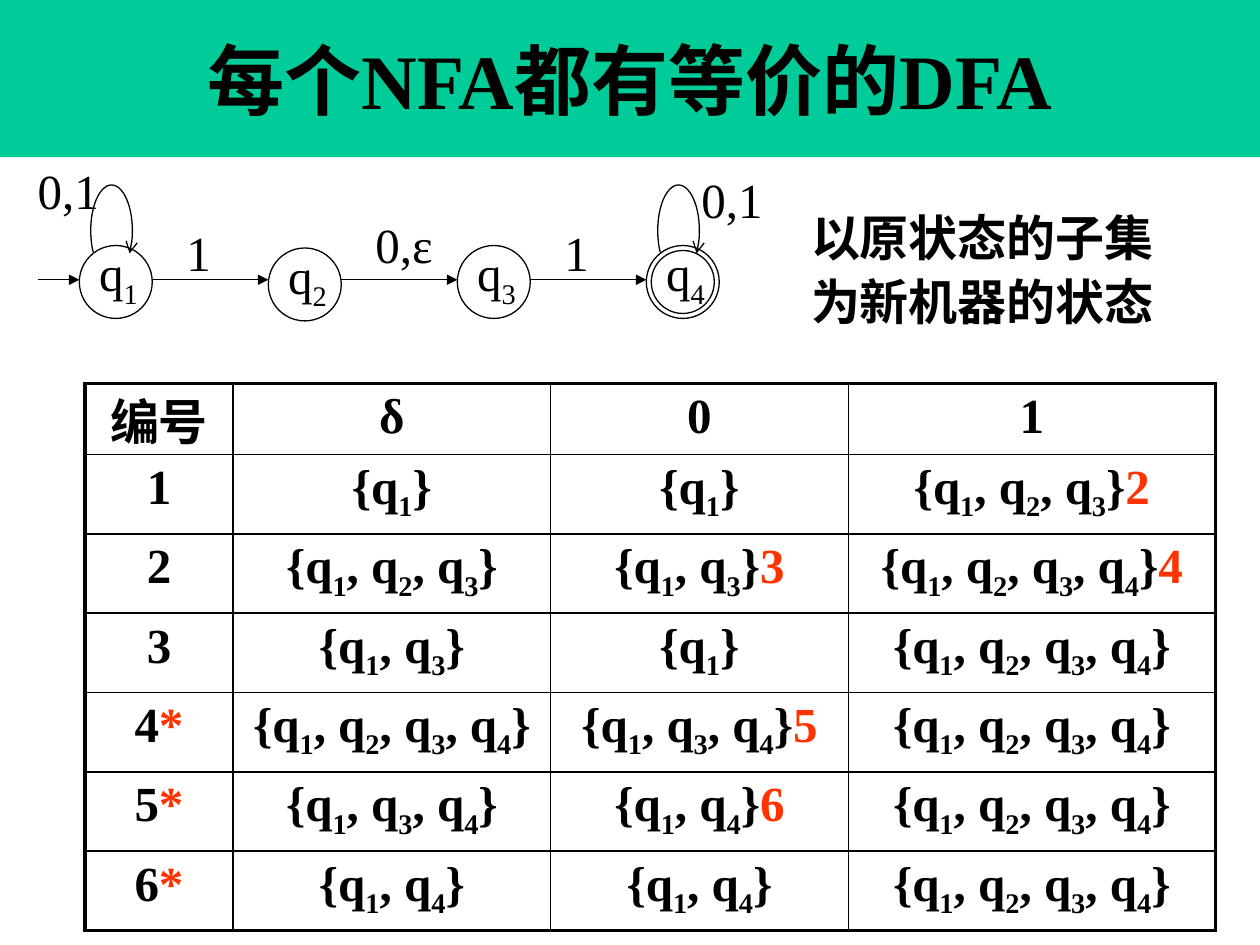
"""Build the slide on turning an NFA into an equivalent DFA."""
from math import cos, radians, sin

from lxml.etree import SubElement
from pptx import Presentation
from pptx.dml.color import RGBColor
from pptx.enum.shapes import MSO_CONNECTOR as LINE, MSO_SHAPE as SHAPE
from pptx.enum.text import MSO_ANCHOR as ANCHOR, MSO_AUTO_SIZE as FIT, PP_ALIGN as ALIGN
from pptx.oxml.ns import qn
from pptx.util import Cm, Pt

TITLE = "每个NFA都有等价的DFA"
NOTE = ["以原状态的子集", "为新机器的状态"]
HEADER = ["编号", "δ", "0", "1"]
ROWS = [
    ("1", "{q1}", "{q1}", "{q1, q2, q3}|2"),
    ("2", "{q1, q2, q3}", "{q1, q3}|3", "{q1, q2, q3, q4}|4"),
    ("3", "{q1, q3}", "{q1}", "{q1, q2, q3, q4}"),
    ("4|*", "{q1, q2, q3, q4}", "{q1, q3, q4}|5", "{q1, q2, q3, q4}"),
    ("5|*", "{q1, q3, q4}", "{q1, q4}|6", "{q1, q2, q3, q4}"),
    ("6|*", "{q1, q4}", "{q1, q4}", "{q1, q2, q3, q4}"),
]
STATES = [("q1", 4.95), ("q2", 5.0), ("q3", 4.95), ("q4", 4.95)]
LABELS = [("0,1", 0.51, 3.12, 1.75), ("1", 3.51, 4.37, 1.02), ("0,ε", 7.32, 4.19, 1.68),
          ("1", 11.13, 4.37, 1.02), ("0,1", 13.89, 3.3, 1.75)]
COLUMNS = [2.99, 6.4, 6.0, 7.4]
HEADER_HEIGHT, ROW_HEIGHT = 1.43, 1.6
FIRST_STATE, STATE_STEP, DIAMETER = 1.6, 3.81, 1.47
ARROW_Y = 5.64
FONT, BLACK, RED, GREEN = "Times New Roman", "000000", "FF3300", "00CC99"


def rgb(code):
    """Turn a hex string into a colour."""
    return RGBColor.from_string(code)


def style(paragraph, size=28, bold=False):
    """Set the common font of a paragraph."""
    font = paragraph.font
    font.name, font.size, font.bold = FONT, Pt(size), bold
    font.color.rgb = rgb(BLACK)


def write(paragraph, text, bold=False):
    """Write text with lowered state numbers and a red part after the bar."""
    style(paragraph, bold=bold)
    main, _, mark = text.partition("|")
    for index, part in enumerate(main.split("q")):
        if index == 0:
            pieces = [(part, False)]
        else:
            lead = paragraph.runs[-1] if paragraph.runs else paragraph.add_run()
            lead.text += "q"
            pieces = [(part[0], True), (part[1:], False)]
        for piece, lowered in pieces:
            if piece:
                run = paragraph.add_run()
                run.text = piece
                if lowered:
                    run._r.get_or_add_rPr().set("baseline", "-25000")
    if mark:
        run = paragraph.add_run()
        run.text = mark
        run.font.color.rgb = rgb(RED)


def add_text(text, left, top, width):
    """Add a one-line diagram label."""
    frame = slide.shapes.add_textbox(Cm(left), Cm(top), Cm(width), Cm(1.45)).text_frame
    frame.word_wrap = False
    frame.auto_size = FIT.SHAPE_TO_FIT_TEXT
    write(frame.paragraphs[0], text)


def outline(shape, head=None):
    """Give a shape a thin black line, with an arrowhead if named."""
    shape.line.color.rgb = rgb(BLACK)
    shape.line.width = Pt(0.75)
    if head:
        SubElement(shape.line._get_or_add_ln(), qn("a:tailEnd"), type=head)


def add_circle(left, top, diameter):
    """Add an unfilled circle."""
    circle = slide.shapes.add_shape(SHAPE.OVAL, Cm(left), Cm(top), Cm(diameter), Cm(diameter))
    circle.shadow.inherit = False
    circle.fill.background()
    outline(circle)


def add_arrow(start, end):
    """Add a level arrow between two states."""
    arrow = slide.shapes.add_connector(LINE.STRAIGHT, Cm(start), Cm(ARROW_Y), Cm(end), Cm(ARROW_Y))
    outline(arrow, "triangle")
    SubElement(arrow._element.spPr, qn("a:effectLst"))


def add_loop(state_left):
    """Add the loop arrow above a state."""
    points = [(Cm(state_left + 0.65 + 0.42 * cos(radians(angle))),
               Cm(4.65 + 0.92 * sin(radians(angle)))) for angle in range(152, 391, 7)]
    builder = slide.shapes.build_freeform(*points[0], scale=1.0)
    builder.add_line_segments(points[1:], close=False)
    loop = builder.convert_to_shape()
    loop.shadow.inherit = False
    loop.fill.background()
    outline(loop, "arrow")


def set_borders(cell, widths):
    """Draw the four borders of a cell."""
    properties = cell._tc.get_or_add_tcPr()
    for index, (side, width) in enumerate(zip(("lnL", "lnR", "lnT", "lnB"), widths)):
        border = properties.makeelement(qn("a:" + side), {"w": str(Pt(width))})
        fill = SubElement(border, qn("a:solidFill"))
        SubElement(fill, qn("a:srgbClr"), val=BLACK)
        properties.insert(index, border)


deck = Presentation()
deck.slide_width, deck.slide_height = Cm(25.4), Cm(19.05)
slide = deck.slides.add_slide(deck.slide_layouts[5])

title = slide.shapes.title
title.left, title.top, title.width, title.height = Cm(0), Cm(0), Cm(25.4), Cm(3.17)
title.fill.solid()
title.fill.fore_color.rgb = rgb(GREEN)
title.text_frame.text = TITLE
title.text_frame.vertical_anchor = ANCHOR.MIDDLE
title.text_frame.paragraphs[0].alignment = ALIGN.CENTER
style(title.text_frame.paragraphs[0], 44, True)

lefts = [FIRST_STATE + STATE_STEP * index for index in range(len(STATES))]
for left, (name, top) in zip(lefts, STATES):
    add_circle(left, top, DIAMETER)
    add_text(name, left + 0.15, top - 0.18, 1.35)
add_circle(lefts[-1] + 0.1, STATES[-1][1] + 0.1, DIAMETER - 0.2)
add_arrow(0.76, lefts[0])
for left, following in zip(lefts, lefts[1:]):
    add_arrow(left + DIAMETER, following)
for left in (lefts[0], lefts[-1]):
    add_loop(left)
for label in LABELS:
    add_text(*label)

grid = [HEADER, *ROWS]
heights = [HEADER_HEIGHT] + [ROW_HEIGHT] * len(ROWS)
table = slide.shapes.add_table(len(grid), len(COLUMNS), Cm(1.71), Cm(7.73),
                               Cm(sum(COLUMNS)), Cm(sum(heights))).table
table.first_row = table.horz_banding = False
for column, width in zip(table.columns, COLUMNS):
    column.width = Cm(width)
for r, (texts, height) in enumerate(zip(grid, heights)):
    table.rows[r].height = Cm(height)
    for c, text in enumerate(texts):
        cell = table.cell(r, c)
        cell.margin_bottom = 0
        cell.fill.background()
        paragraph = cell.text_frame.paragraphs[0]
        paragraph.alignment = ALIGN.CENTER
        write(paragraph, text, True)
        if text == HEADER[0]:
            paragraph.line_spacing = Pt(36.9)
        edges = (c == 0, c == len(COLUMNS) - 1, r == 0, r == len(grid) - 1)
        set_borders(cell, [2.25 if edge else 1 for edge in edges])

note = slide.shapes.add_textbox(Cm(16.1), Cm(3.94), Cm(7.77), Cm(2.77)).text_frame
note.word_wrap = True
note.text = "\n".join(NOTE)
for paragraph in note.paragraphs:
    style(paragraph, bold=True)
    paragraph.line_spacing = Pt(36.9)

deck.save("out.pptx")
